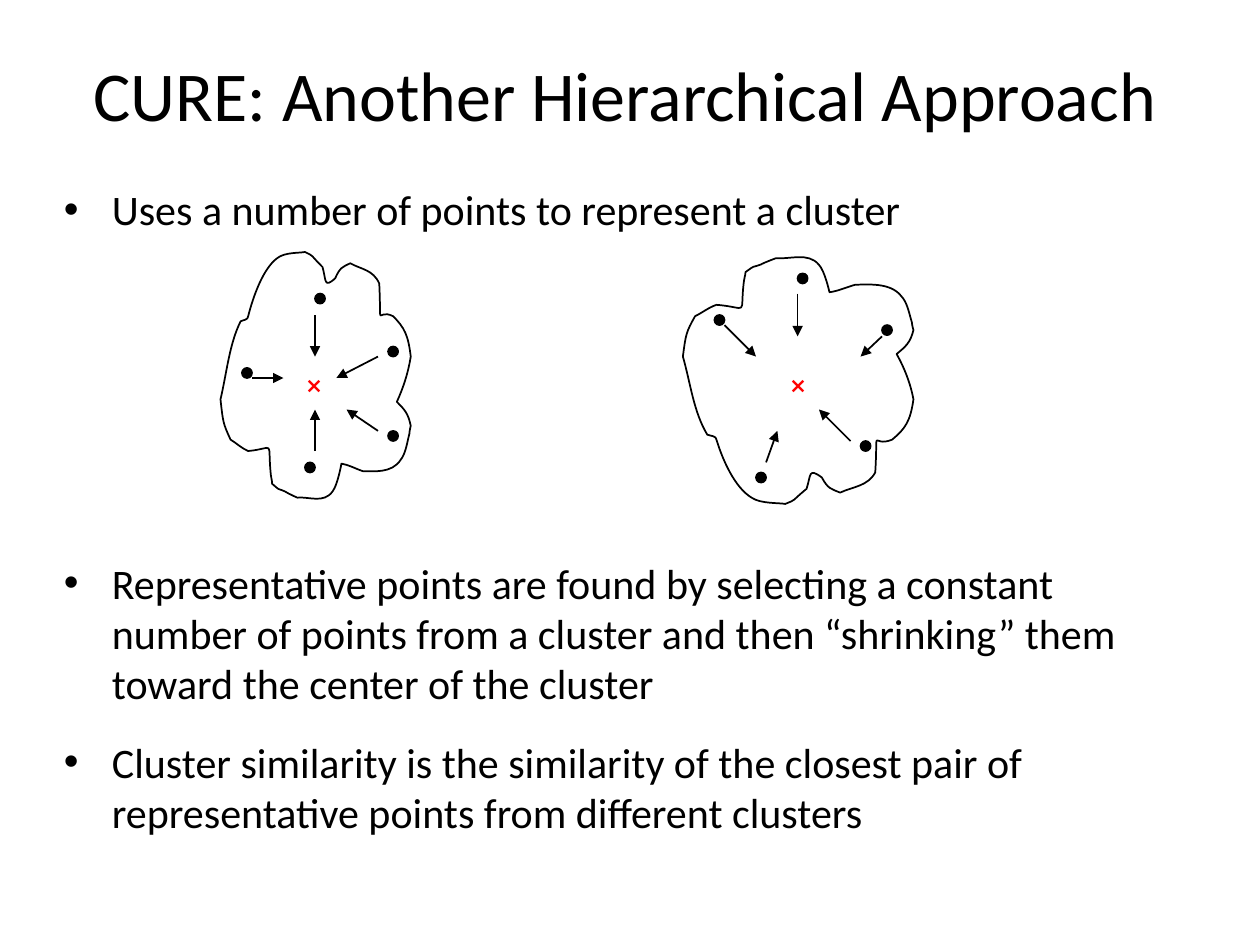
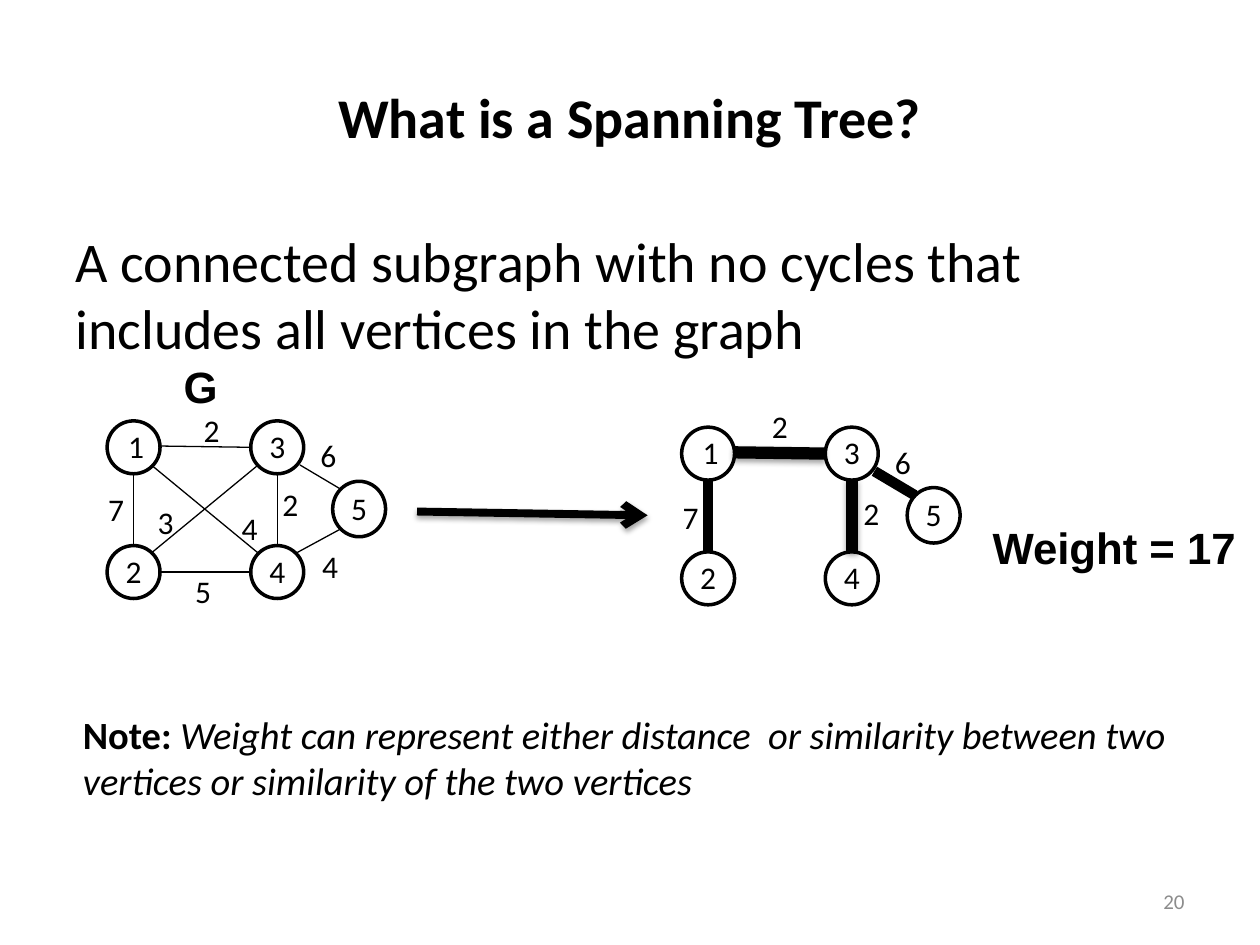
from lxml import etree
from pptx import Presentation
from pptx.dml.color import RGBColor
from pptx.enum.shapes import MSO_CONNECTOR, MSO_SHAPE
from pptx.enum.text import MSO_ANCHOR, PP_ALIGN
from pptx.oxml.ns import qn
from pptx.util import Inches, Pt

STRAIGHT, ELLIPSE = MSO_CONNECTOR.STRAIGHT, MSO_SHAPE.OVAL
TOP, MIDDLE = MSO_ANCHOR.TOP, MSO_ANCHOR.MIDDLE
LEFT, CENTER, RIGHT = PP_ALIGN.LEFT, PP_ALIGN.CENTER, PP_ALIGN.RIGHT

BLACK, WHITE, RED, GRAY = "000000", "FFFFFF", "FF0000", "8C8C8C"
BODY_FONT, LABEL_FONT, MARK_FONT = "Calibri", "Arial", "Karla"

# Cluster outline: a start point, then Bézier segments (two controls and an end)
OUTLINE_WIDTH, OUTLINE_HEIGHT = 1.51, 2
OUTLINE_START = (0.16, 0.55)
OUTLINE_CURVES = [
    ((0.07, 0.73), (0.05, 0.96), (0, 1.17)),
    ((0.02, 1.35), (0.02, 1.36), (0.08, 1.49)),
    ((0.13, 1.52), (0.17, 1.56), (0.22, 1.58)),
    ((0.44, 1.56), (0.37, 1.48), (0.4, 1.77)),
    ((0.4, 1.79), (0.41, 1.81), (0.41, 1.84)),
    ((0.48, 1.9), (0.44, 1.87), (0.51, 1.9)),
    ((0.54, 1.92), (0.61, 1.95), (0.61, 1.95)),
    ((0.7, 1.94), (0.82, 2), (0.89, 1.9)),
    ((0.93, 1.85), (0.96, 1.68), (0.96, 1.68)),
    ((1.02, 1.69), (1.07, 1.72), (1.13, 1.74)),
    ((1.21, 1.74), (1.36, 1.76), (1.43, 1.65)),
    ((1.47, 1.6), (1.48, 1.52), (1.5, 1.44)),
    ((1.5, 1.42), (1.51, 1.38), (1.51, 1.38)),
    ((1.49, 1.28), (1.46, 1.25), (1.4, 1.19)),
    ((1.45, 1.08), (1.49, 0.96), (1.51, 0.83)),
    ((1.49, 0.66), (1.46, 0.6), (1.37, 0.51)),
    ((1.23, 0.44), (1.28, 0.65), (1.26, 0.25)),
    ((1.21, 0.14), (1.12, 0.14), (1.03, 0.09)),
    ((0.97, 0.12), (0.95, 0.12), (0.91, 0.21)),
    ((0.82, 0.29), (0.84, 0.23), (0.81, 0.12)),
    ((0.7, 0.01), (0.75, 0.04), (0.67, 0)),
    ((0.63, 0.01), (0.51, 0), (0.45, 0.05)),
    ((0.34, 0.13), (0.26, 0.35), (0.22, 0.51)),
    ((0.22, 0.54), (0.18, 0.54), (0.16, 0.55)),
]

# Points, arrows and center are relative to the cluster's box
LEFT_CLUSTER = {
    "points": [(0.67, 1.67), (0.75, 0.33), (0.17, 0.92), (1.33, 0.75), (1.33, 1.42)],
    "arrows": [(0.75, 0.5, 0.75, 0.83), (1.25, 0.83, 0.92, 1), (1.25, 1.42, 1, 1.25),
               (0.75, 1.58, 0.75, 1.25), (0.25, 1, 0.5, 1)],
    "center": (0.58, 0.83),
}
RIGHT_CLUSTER = {
    "points": [(1.58, 0.58), (0.25, 0.5), (0.58, 1.75), (0.91, 0.17), (1.41, 1.5)],
    "arrows": [(0.91, 0.33, 0.91, 0.67), (0.33, 0.58, 0.58, 0.83), (1.58, 0.67, 1.41, 0.83),
               (1.33, 1.5, 1.08, 1.25), (0.66, 1.67, 0.75, 1.42)],
    "center": (0.75, 0.83),
}

# Vertex: left, top, height, shift of the number
VERTICES = {"1": (0, 0, 0.42, (0.02, 0)), "2": (0, 0.99, 0.42, (0, 0)),
            "3": (1.14, 0, 0.42, (0, 0)), "4": (1.14, 0.99, 0.42, (0, 0)),
            "5": (1.79, 0.48, 0.44, (0, 0.01))}
# Edge: line ends, weight, label left, top and width, label alignment
EDGES = {
    "1-3": ((0.41, 0.2, 1.14, 0.21), "2", (0.6, -0.13, 0.46), CENTER),
    "2-3": ((1.2, 0.35, 0.35, 1.05), "3", (0.19, 0.6, 0.55), CENTER),
    "3-4": ((1.35, 0.41, 1.35, 0.99), "2", (1.21, 0.46, 0.49), CENTER),
    "4-5": ((1.5, 1.05, 1.85, 0.86), "4", (1.54, 0.95, 0.46), CENTER),
    "1-2": ((0.21, 0.41, 0.21, 0.99), "7", (-0.09, 0.5, 0.28), LEFT),
    "2-4": ((0.41, 1.2, 1.14, 1.2), "5", (0.6, 1.15, 0.46), LEFT),
    "3-5": ((1.53, 0.35, 1.85, 0.54), "6", (1.56, 0.07, 0.39), CENTER),
    "1-4": ((0.35, 0.35, 1.2, 1.05), "4", (0.97, 0.65, 0.22), LEFT),
}
# Edge style: line width, shadow, shift of the weight label
GRAPH_EDGES = {edge: (0.75, False, (0, 0)) for edge in EDGES}
TREE_EDGES = {
    "1-3": (7, True, (-0.05, -0.08)),
    "3-4": (7, True, (0.05, 0.02)),
    "1-2": (6, False, (0, 0.01)),
    "3-5": (6, False, (0, 0.01)),
}


def rgb(color):
    return RGBColor.from_string(color)


def add_frame(shapes, box, anchor=TOP, wrap=True):
    """Add a text box and return its text frame."""
    frame = shapes.add_textbox(*map(Inches, box)).text_frame
    frame.word_wrap = wrap
    frame.vertical_anchor = anchor
    return frame


def write(paragraph, text, size=18, font=BODY_FONT, color=BLACK, bold=False,
          italic=False, align=LEFT, before=0):
    paragraph.alignment = align
    paragraph.space_before = Pt(before)
    run = paragraph.add_run()
    run.text = text
    run.font.name = font
    run.font.size = Pt(size)
    run.font.bold = bold
    run.font.italic = italic
    run.font.color.rgb = rgb(color)


def add_label(shapes, box, text, anchor=TOP, wrap=True, **text_format):
    write(add_frame(shapes, box, anchor, wrap).paragraphs[0], text, **text_format)


def add_title(slide, box, text, **text_format):
    add_label(slide.shapes, box, text, anchor=MIDDLE, align=CENTER, **text_format)


def set_bullet(paragraph, indent):
    properties = paragraph._p.get_or_add_pPr()
    properties.set("marL", str(Inches(indent)))
    properties.set("indent", str(-Inches(indent)))
    etree.SubElement(properties, qn("a:buFont"), typeface="Arial")
    etree.SubElement(properties, qn("a:buChar"), char="•")


def add_ellipse(shapes, box, fill, line_width):
    ellipse = shapes.add_shape(ELLIPSE, *map(Inches, box))
    ellipse.shadow.inherit = False
    ellipse.fill.solid()
    ellipse.fill.fore_color.rgb = rgb(fill)
    ellipse.line.color.rgb = rgb(BLACK)
    ellipse.line.width = Pt(line_width)


def add_line(shapes, ends, width, arrowhead=None, shadow=False):
    line = shapes.add_connector(STRAIGHT, *map(Inches, ends))
    line.line.color.rgb = rgb(BLACK)
    line.line.width = Pt(width)
    if arrowhead:
        etree.SubElement(line.line._get_or_add_ln(), qn("a:tailEnd"), type=arrowhead)
    effects = etree.SubElement(line._element.spPr, qn("a:effectLst"))
    if shadow:
        outer = etree.SubElement(effects, qn("a:outerShdw"), blurRad=str(Pt(3.1)),
                                 dist=str(Pt(1.8)), dir="5400000", rotWithShape="0")
        tint = etree.SubElement(outer, qn("a:srgbClr"), val=BLACK)
        etree.SubElement(tint, qn("a:alpha"), val="35000")


def round_segments(freeform):
    """Turn each three straight segments into one Bézier curve."""
    segments = list(freeform._element.iter(qn("a:lnTo")))
    for first, second, third in zip(*[iter(segments)] * 3):
        curve = etree.Element(qn("a:cubicBezTo"))
        first.addprevious(curve)
        for segment in (first, second, third):
            curve.append(segment[0])
            segment.getparent().remove(segment)


def add_outline(shapes, left, top, width, flipped):
    def place(point):
        x, y = point
        return (Inches(left + x * width / OUTLINE_WIDTH),
                Inches(top + (OUTLINE_HEIGHT - y if flipped else y)))

    builder = shapes.build_freeform(*place(OUTLINE_START), scale=1.0)
    builder.add_line_segments(
        [place(point) for curve in OUTLINE_CURVES for point in curve], close=True)
    outline = builder.convert_to_shape()
    round_segments(outline)
    outline.shadow.inherit = False
    outline.fill.background()
    outline.line.color.rgb = rgb(BLACK)
    outline.line.width = Pt(1)


def add_cluster(shapes, left, top, width, cluster, flipped=False):
    add_outline(shapes, left, top, width, flipped)
    for x, y in cluster["points"]:
        add_ellipse(shapes, (left + x, top + y, 0.08, 0.08), BLACK, 1)
    for x1, y1, x2, y2 in cluster["arrows"]:
        add_line(shapes, (left + x1, top + y1, left + x2, top + y2), 1, "triangle")
    x, y = cluster["center"]
    add_label(shapes, (left + x, top + y, 0.25, 0.33), "×", font=MARK_FONT, color=RED)


def add_graph(slide, left, top, edges):
    shapes = slide.shapes.add_group_shape().shapes
    for name, (x, y, height, (shift_x, shift_y)) in VERTICES.items():
        add_ellipse(shapes, (left + x, top + y, 0.42, height), WHITE, 2)
        add_label(shapes, (left + x + shift_x, top + y + shift_y, 0.42, 0.42),
                  name, align=CENTER)
    for edge, (width, shadow, (shift_x, shift_y)) in edges.items():
        (x1, y1, x2, y2), weight, (x, y, label_width), align = EDGES[edge]
        add_line(shapes, (left + x1, top + y1, left + x2, top + y2), width, shadow=shadow)
        add_label(shapes, (left + x + shift_x, top + y + shift_y, label_width, 0.4),
                  weight, align=align)


def build_cure_slide(slide):
    bullets = [
        ("Uses a number of points to represent a cluster", 0),
        ("Representative points are found by selecting a constant number of points "
         "from a cluster and then “shrinking” them toward the center of the cluster", 184.5),
        ("Cluster similarity is the similarity of the closest pair of "
         "representative points from different clusters", 16),
    ]
    frame = add_frame(slide.shapes, (0.41, 1.41, 9.1, 5.67))
    for index, (text, before) in enumerate(bullets):
        paragraph = frame.add_paragraph() if index else frame.paragraphs[0]
        write(paragraph, text, size=24, before=before)
        set_bullet(paragraph, 0.38)
    add_title(slide, (0.17, 0.31, 9.58, 0.86), "CURE: Another Hierarchical Approach", size=40)
    add_cluster(slide.shapes, 1.75, 2, 1.51, LEFT_CLUSTER)
    add_cluster(slide.shapes, 5.42, 2, 1.83, RIGHT_CLUSTER, flipped=True)


def build_spanning_tree_slide(slide):
    shapes = slide.shapes
    add_title(slide, (0.5, 0.3, 9, 1.25), "What is a Spanning Tree?", size=32, bold=True)
    add_label(shapes, (0.5, 1.75, 9, 4.95),
              "A connected subgraph with no cycles that includes all vertices in the graph",
              size=32)
    add_label(shapes, (7.17, 6.95, 2.33, 0.4), "20", anchor=MIDDLE, size=12,
              color=GRAY, align=RIGHT)
    add_graph(slide, 0.85, 3.34, GRAPH_EDGES)
    add_line(shapes, (3.31, 4.06, 5.14, 4.09), 4.5, "arrow", shadow=True)
    add_graph(slide, 5.41, 3.39, TREE_EDGES)
    for text, box in (("Weight = 17", (7.78, 4.08, 2.14, 0.52)),
                      ("G", (1.36, 2.81, 0.48, 0.52))):
        add_label(shapes, box, text, wrap=False, size=25, font=LABEL_FONT, bold=True)
    note = add_frame(shapes, (0.56, 5.59, 9.1, 0.84)).paragraphs[0]
    write(note, "Note: ", size=22, bold=True)
    write(note, "Weight can represent either distance  or similarity between two "
          "vertices or similarity of the two vertices", size=22, italic=True)


def main():
    deck = Presentation()
    deck.slide_width, deck.slide_height = Inches(10), Inches(7.5)
    blank = deck.slide_layouts[6]
    for build in (build_cure_slide, build_spanning_tree_slide):
        build(deck.slides.add_slide(blank))
    deck.save("out.pptx")


if __name__ == "__main__":
    main()
